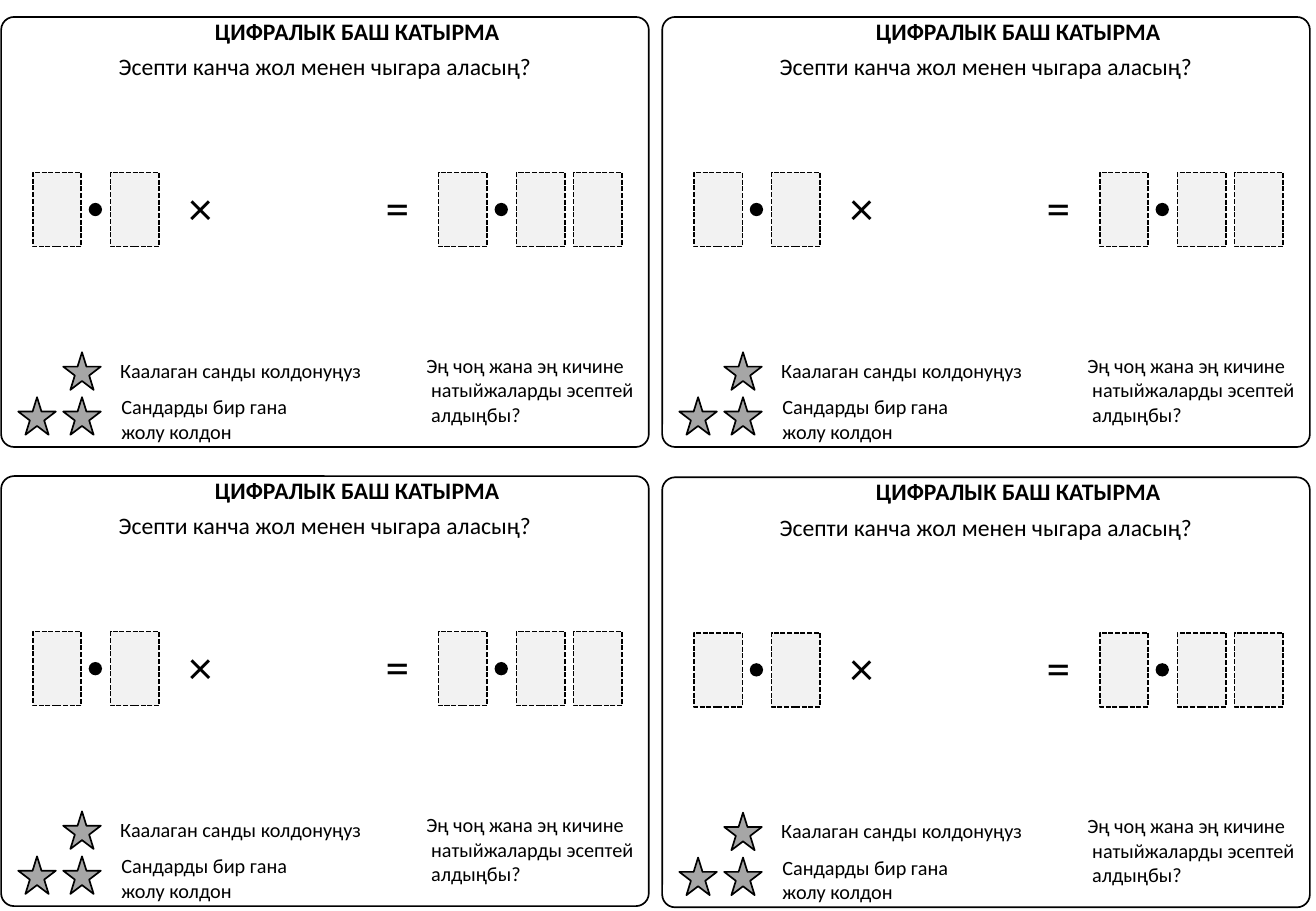
from pptx import Presentation
from pptx import util as u
from pptx.dml.color import RGBColor
from pptx.enum import dml, shapes, text

PX = 9144  # 100 px to the inch
BLACK, GREY, PALE = "000000", "A6A6A6", "F2F2F2"
KIND = shapes.MSO_SHAPE
CELL_W, CELL_H = 40, 61
STAR, DOT = 31, 11


def px(*lengths):
    return [u.Emu(length * PX) for length in lengths]


def color(hex_string):
    return RGBColor.from_string(hex_string)


def add_figure(parent, kind, box, fill=None, line=BLACK, dash=None):
    figure = parent.add_shape(kind, *px(*box))
    figure.shadow.inherit = False
    if fill:
        figure.fill.solid()
        figure.fill.fore_color.rgb = color(fill)
    else:
        figure.fill.background()
    if line:
        figure.line.color.rgb = color(line)
        figure.line.width = u.Pt(1)
        if dash:
            figure.line.dash_style = dash
    else:
        figure.line.fill.background()
    return figure


def add_text(parent, box, words, size=12, bold=False, align=text.PP_ALIGN.LEFT,
             inset_y=5, hanging=0):
    label = parent.add_textbox(*px(*box))
    frame = label.text_frame
    frame.word_wrap = False
    frame.auto_size = text.MSO_AUTO_SIZE.SHAPE_TO_FIT_TEXT
    frame.margin_left, frame.margin_right = px(10, 10)
    frame.margin_top, frame.margin_bottom = px(inset_y, inset_y)
    frame.text = words
    for index, paragraph in enumerate(frame.paragraphs):
        paragraph.alignment = align
        paragraph.font.name = "Calibri"
        paragraph.font.size = u.Pt(size)
        paragraph.font.bold = bold
        paragraph.font.color.rgb = color(BLACK)
        if hanging and index:
            paragraph._p.get_or_add_pPr().set("marL", str(hanging * PX))
    return label


def add_cell(parent, x, y):
    add_figure(parent, KIND.RECTANGLE, (x, y, CELL_W, CELL_H), PALE,
               dash=dml.MSO_LINE.SQUARE_DOT)


def add_decimal(parent, x, y):
    """Two empty digit cells with a decimal point between them."""
    number = parent.add_group_shape().shapes
    add_cell(number, x + 64, y)
    add_figure(number, KIND.OVAL, (x + 46, y + 25, DOT, DOT), BLACK, line=None)
    add_cell(number, x, y)


def add_heading(parent, x, y):
    add_text(parent, (x + 166, y, 256, 24), "ЦИФРАЛЫК БАШ КАТЫРМА",
             size=14, bold=True, inset_y=0)
    add_text(parent, (x + 81, y + 24, 371, 34),
             "Эсепти канча жол менен чыгара аласың?",
             size=14, align=text.PP_ALIGN.CENTER)


def add_equation(parent, x, y):
    add_decimal(parent, x + 26, y)
    for sign, left in (("×", 144), ("=", 306)):
        add_text(parent, (x + left, y, 40, 57), sign,
                 size=28, align=text.PP_ALIGN.CENTER)
    add_decimal(parent, x + 360, y)
    add_cell(parent, x + 471, y)


def add_levels(parent, x, y):
    # Difficulty stars: one above, two below
    for left, top in ((51, 4), (51, 41), (14, 41)):
        add_figure(parent, KIND.STAR_5_POINT, (x + left, y + top, STAR, STAR), GREY)
    add_text(parent, (x + 88, y + 4, 221, 30), "Каалаган санды колдонуңуз")
    add_text(parent, (x + 89, y + 34, 162, 50), "Сандарды бир гана\nжолу колдон")
    # Extra challenge
    add_text(parent, (x + 340, y, 193, 71),
             "Эң чоң жана эң кичине\nнатыйжаларды эсептей\nалдыңбы?", hanging=4)


def add_card(parent, x, y):
    border = add_figure(parent, KIND.ROUNDED_RECTANGLE, (x, y, 533, 354))
    border.adjustments[0] = 0.03
    add_heading(parent, x, y)
    add_equation(parent, x, y + 128)
    add_levels(parent, x, y + 272)


def main():
    deck = Presentation()
    deck.slide_width, deck.slide_height = px(1083, 750)
    slide = deck.slides.add_slide(deck.slide_layouts[6])
    for x, y in ((1, 14), (545, 14), (1, 392), (545, 393)):
        add_card(slide.shapes, x, y)
    deck.save("out.pptx")


if __name__ == "__main__":
    main()
